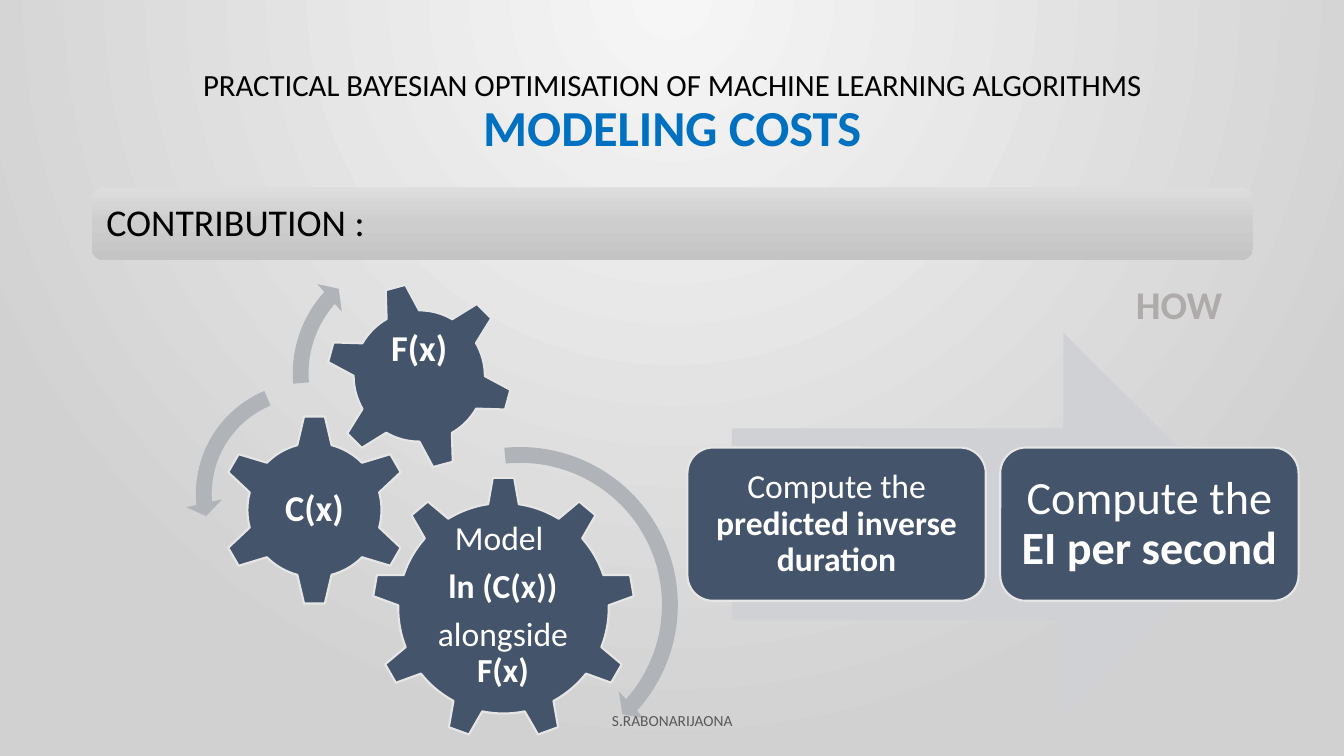
from dataclasses import dataclass
from typing import Optional

from lxml.etree import SubElement
from pptx import Presentation
from pptx.dml.color import RGBColor
from pptx.enum.shapes import MSO_SHAPE
from pptx.enum.text import MSO_ANCHOR, PP_ALIGN
from pptx.oxml.ns import qn
from pptx.util import Inches, Pt

# Grid: 40 columns by 22.5 rows of square cells
COLS, ROWS = 40, 22.5
CELL = Inches(7.5) / ROWS

HEX = {
    "black": "000000", "white": "FFFFFF", "blue": "0070C0", "slate": "44546A",
    "edge": "E7E6E6", "arc": "B0B4B9", "arrow": "CFD1D4", "how": "AFABAB",
    "foot": "595959",
}
GLOW = [(0, "F6F6F6"), (100, "D2D1D1")]
STEEL = [(0, "DDDDDD"), (50, "CDCDCD"), (100, "C4C4C4")]


@dataclass
class Box:
    col: float
    row: float
    wide: float
    high: float

    def emu(self) -> list[int]:
        return [round(n * CELL) for n in (self.col, self.row, self.wide, self.high)]


@dataclass
class Bit:
    text: str
    size: float
    color: str = "white"
    bold: bool = False


@dataclass
class Gear:
    kind: MSO_SHAPE
    box: Box
    turn: float
    label: Box
    lines: list[list[Bit]]


@dataclass
class Arc:
    kind: MSO_SHAPE
    box: Box
    bends: list[float]


@dataclass
class Card:
    col: float
    bits: list[Bit]


def square(col: float, row: float, side: float) -> Box:
    return Box(col, row, side, side)


def blend(root, stops: list[tuple[int, str]], round_top: bool) -> None:
    """Fill the gradient below root with stops, radial or top to bottom."""
    grad = root.find(".//" + qn("a:gradFill"))
    for child in list(grad):
        grad.remove(child)
    rows = SubElement(grad, qn("a:gsLst"))
    for share, color in stops:
        stop = SubElement(rows, qn("a:gs"), pos=str(share * 1000))
        SubElement(stop, qn("a:srgbClr"), val=color)
    if round_top:
        ring = SubElement(grad, qn("a:path"), path="circle")
        SubElement(ring, qn("a:fillToRect"), l="43000", t="0", r="43000", b="100000")
    else:
        SubElement(grad, qn("a:lin"), ang="5400000", scaled="0")


def write(shape, lines: list[list[Bit]], pad: float = 0.04,
          align: PP_ALIGN = PP_ALIGN.CENTER, lead: float = 0.9, after: float = 0.35) -> None:
    frame = shape.text_frame
    frame.word_wrap = True
    frame.vertical_anchor = MSO_ANCHOR.MIDDLE
    frame.margin_left = frame.margin_right = Inches(pad)
    frame.margin_top = frame.margin_bottom = Inches(min(pad, 0.05))
    frame.text = "\n".join(bits[0].text for bits in lines)
    for para, bits in zip(frame.paragraphs, lines):
        para.alignment = align
        para.line_spacing = lead
        para.space_after = Pt(round(after * bits[0].size, 1))
        for bit in bits[1:]:
            para.add_run().text = bit.text
        for run, bit in zip(para.runs, bits):
            run.font.name = "Calibri"
            run.font.size = Pt(bit.size)
            run.font.bold = bit.bold
            run.font.color.rgb = RGBColor.from_string(HEX[bit.color])


def draw(slide, kind: MSO_SHAPE, box: Box, fill: str, edge: Optional[str] = None):
    shape = slide.shapes.add_shape(kind, *box.emu())
    shape.shadow.inherit = False
    shape.fill.solid()
    shape.fill.fore_color.rgb = RGBColor.from_string(HEX[fill])
    if edge:
        shape.line.color.rgb = RGBColor.from_string(HEX[edge])
        shape.line.width = Pt(1.5)
    else:
        shape.line.fill.background()
    return shape


def label(slide, box: Box, lines: list[list[Bit]], **style) -> None:
    write(slide.shapes.add_textbox(*box.emu()), lines, **style)


GEARS = [
    Gear(MSO_SHAPE.GEAR_9, square(11.07, 14.19, 7.83), 0, Box(12.63, 16.02, 4.68, 4.02), [
        [Bit("Model ", 24)],
        [Bit("ln (C(x))", 24, bold=True)],
        [Bit("alongside ", 24), Bit("F(x)", 24, bold=True)],
    ]),
    Gear(MSO_SHAPE.GEAR_6, square(6.51, 12.33, 5.7), 0, square(7.95, 13.77, 2.82),
         [[Bit("C(x)", 26, bold=True)]]),
    Gear(MSO_SHAPE.GEAR_6, square(9.69, 8.4, 5.58), 345, square(10.92, 8.85, 3.12),
         [[Bit("F(x)", 26, bold=True)]]),
]
ARCS = [
    Arc(MSO_SHAPE.CIRCULAR_ARROW, square(10.47, 12.99, 10.02),
        [0.047, 2.99, 25.194, 158.542, 0.055]),
    Arc(MSO_SHAPE.LEFT_CIRCULAR_ARROW, square(5.52, 11.07, 7.26),
        [0.065, 4.3, 104.891, 148.378, 0.075]),
    Arc(MSO_SHAPE.CIRCULAR_ARROW, square(8.4, 7.2, 7.83),
        [0.06, 3.941, 133.138, 105.082, 0.07]),
]
CARDS = [
    Card(20.46, [Bit("Compute the ", 24), Bit("predicted inverse duration", 24, bold=True)]),
    Card(29.77, [Bit("Compute the ", 33), Bit("EI per second", 33, bold=True)]),
]


def main() -> None:
    deck = Presentation()
    deck.slide_width, deck.slide_height = round(COLS * CELL), round(ROWS * CELL)
    slide = deck.slides.add_slide(deck.slide_layouts[6])
    slide.background.fill.gradient()
    blend(slide.element, GLOW, True)

    # Title
    label(slide, Box(2.76, 1.2, 34.5, 4.35), [
        [Bit("PRACTICAL BAYESIAN OPTIMISATION OF MACHINE LEARNING ALGORITHMS", 22, "black")],
        [Bit("MODELING COSTS", 36, "blue", True)],
    ], pad=0.1, after=0)

    # Heading bar
    bar = draw(slide, MSO_SHAPE.ROUNDED_RECTANGLE, Box(2.73, 5.58, 34.56, 2.16), "edge")
    bar.fill.gradient()
    blend(bar.element, STEEL, False)
    write(bar, [[Bit("CONTRIBUTION :", 27, "black")]], pad=0.11, align=PP_ALIGN.LEFT)
    label(slide, Box(33.51, 8.19, 3.78, 1.71), [[Bit("HOW", 28, "how", True)]],
          pad=0.1, align=PP_ALIGN.LEFT, lead=1, after=0)

    # Gears and the arcs around them
    for gear in GEARS:
        draw(slide, gear.kind, gear.box, "slate", "edge").rotation = gear.turn
        label(slide, gear.label, gear.lines)
    for arc in ARCS:
        shape = draw(slide, arc.kind, arc.box, "arc")
        for i, bend in enumerate(arc.bends):
            shape.adjustments[i] = bend

    # Steps on the arrow
    draw(slide, MSO_SHAPE.RIGHT_ARROW, Box(21.78, 9.9, 15.57, 11.4), "arrow")
    for card in CARDS:
        shape = draw(slide, MSO_SHAPE.ROUNDED_RECTANGLE,
                     Box(card.col, 13.32, 8.88, 4.56), "slate", "edge")
        write(shape, [card.bits], pad=0.1)

    # Footer
    label(slide, Box(13.26, 20.85, 13.5, 1.2), [[Bit("S.RABONARIJAONA", 11, "foot")]],
          pad=0.1, lead=1, after=0)
    deck.save("out.pptx")


if __name__ == "__main__":
    main()
